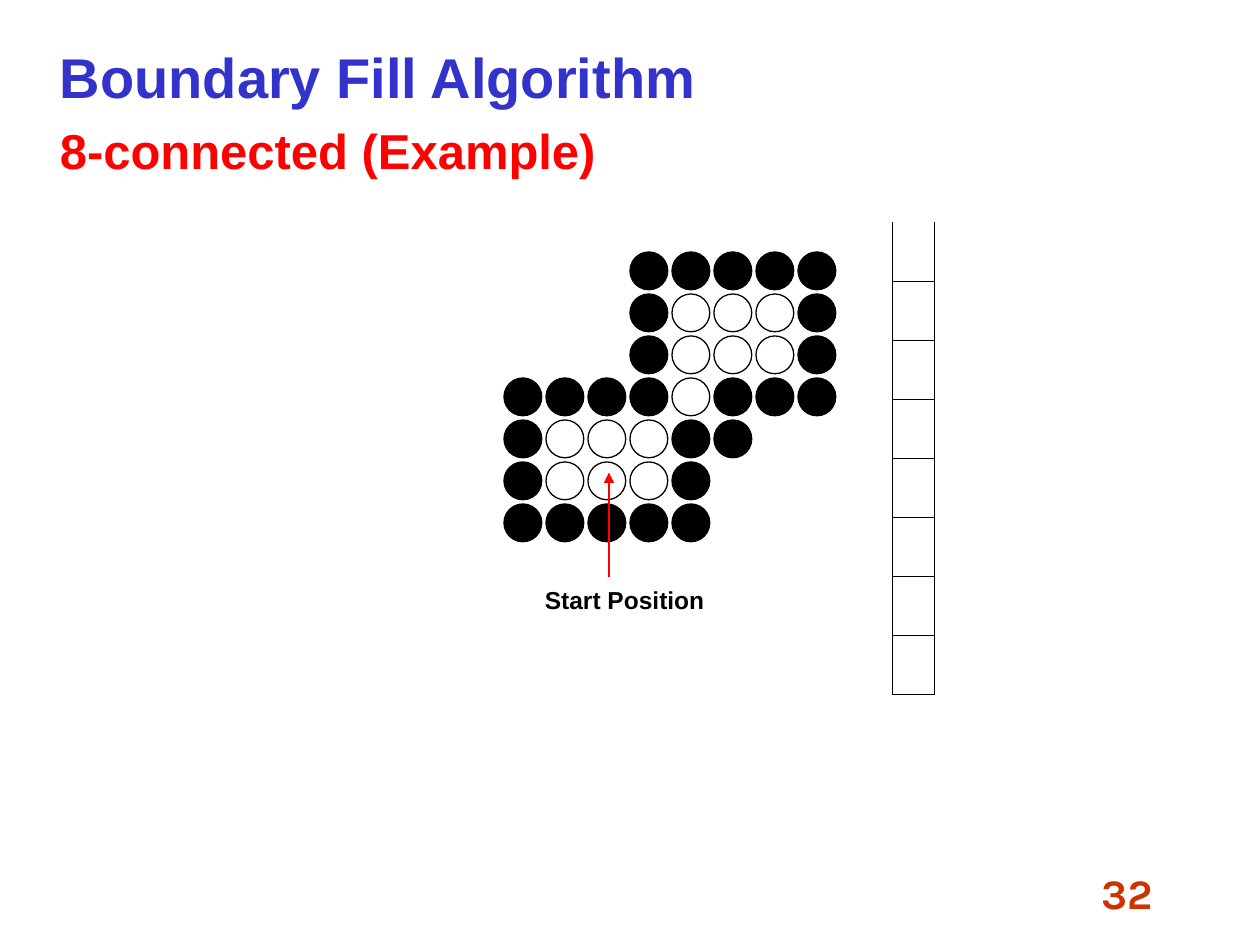
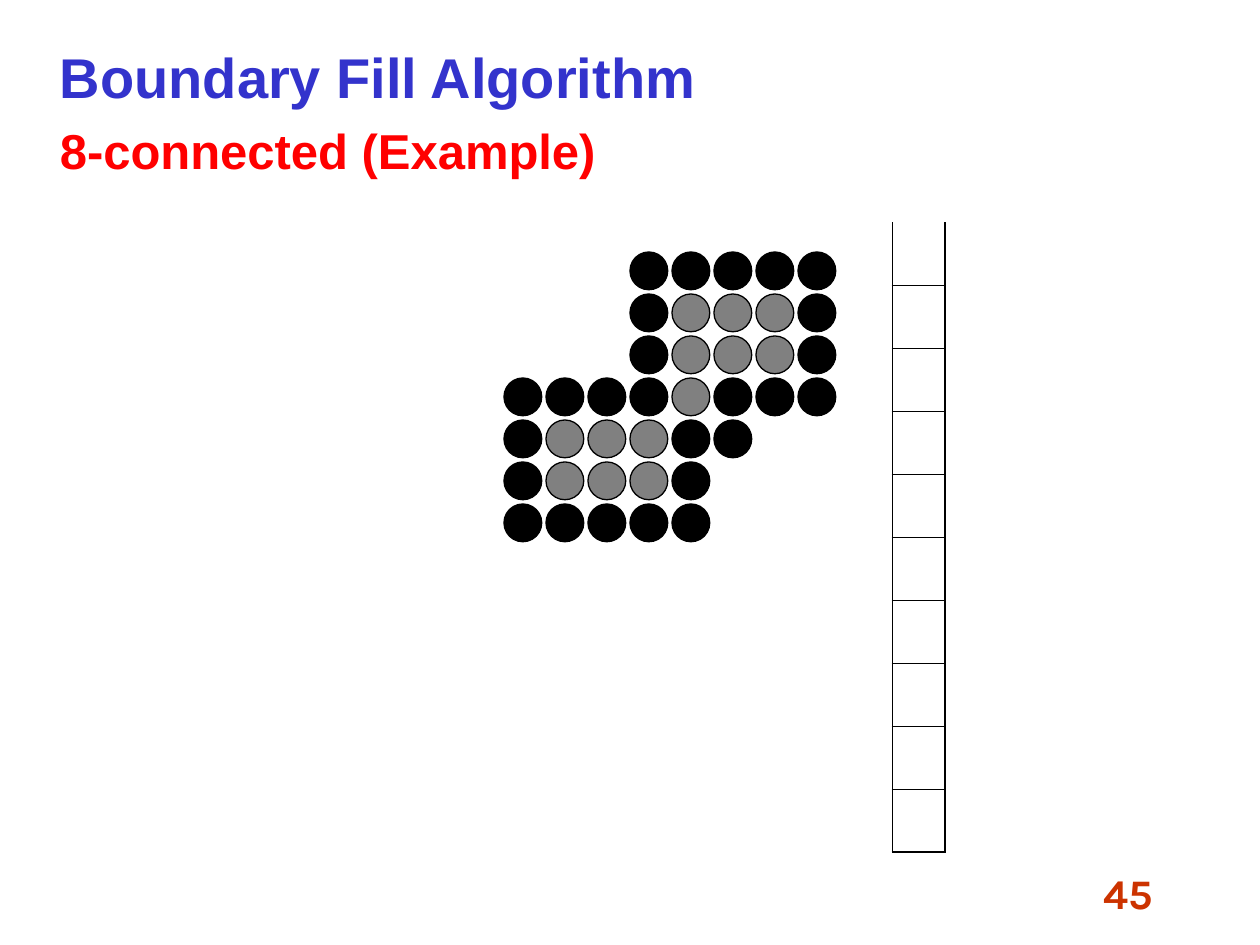
"""Build two slides showing an 8-connected boundary fill before and after it runs."""
from dataclasses import dataclass
from typing import Any

from lxml import etree
from pptx import Presentation
from pptx import util as u
from pptx.dml.color import RGBColor
from pptx.enum import shapes, text
from pptx.oxml import ns
from pptx.slide import Slide

BLACK, GRAY, BLUE, RED, RUST = "000000", "808080", "3333CC", "FF0000", "CC3300"
HEADING = {"name": "Arial", "size": u.Pt(32), "bold": True}
SUBHEADING = HEADING | {"size": u.Pt(28)}
LABEL = HEADING | {"size": u.Pt(14)}
NUMBER = {"name": "Karla", "size": u.Pt(24), "bold": True}

GRID_LEFT, GRID_TOP, PITCH, DIAMETER = 288, 144, 24, 21.6
BOUNDARY = "#"
REGION = (
    "   #####",
    "   #ooo#",
    "   #ooo#",
    "####o###",
    "#ooo##",
    "#ooo#",
    "#####",
)


@dataclass(frozen=True)
class Box:
    left: float
    top: float
    width: float
    height: float

    def lengths(self) -> tuple[u.Pt, ...]:
        return tuple(u.Pt(v) for v in (self.left, self.top, self.width, self.height))


@dataclass(frozen=True)
class Stack:
    rows: int
    width: float
    row_height: float


@dataclass(frozen=True)
class FillStep:
    number: str
    inside: str | None
    stack: Stack
    shows_start: bool


STEPS = (
    FillStep("32", None, Stack(8, 24, 33.75), True),
    FillStep("45", GRAY, Stack(10, 30, 36), False),
)


def colour(value: str) -> RGBColor:
    return RGBColor.from_string(value)


def apply(target: Any, values: dict[str, Any]) -> None:
    for name, value in values.items():
        setattr(target, name, value)


def write(paragraph: Any, words: str, font: dict[str, Any], ink: str, align: text.PP_ALIGN) -> None:
    run = paragraph.add_run()
    run.text = words
    apply(run.font, font)
    run.font.color.rgb = colour(ink)
    paragraph.alignment = align


def add_title(slide: Slide) -> None:
    title = slide.shapes.title
    left, top, width, height = Box(27, 18, 666, 84).lengths()
    apply(title, {"left": left, "top": top, "width": width, "height": height})
    frame = title.text_frame
    apply(frame, {"auto_size": text.MSO_AUTO_SIZE.NONE, "word_wrap": True,
                  "vertical_anchor": text.MSO_ANCHOR.TOP, "margin_top": u.Pt(6.5)})
    write(frame.paragraphs[0], "Boundary Fill Algorithm", HEADING, BLUE, text.PP_ALIGN.LEFT)
    subtitle = frame.add_paragraph()
    subtitle.space_before = u.Pt(6)
    write(subtitle, "8-connected (Example)", SUBHEADING, RED, text.PP_ALIGN.LEFT)


def add_text(parent: Any, box: Box, words: str, font: dict[str, Any], ink: str,
             align: text.PP_ALIGN) -> None:
    frame = parent.add_textbox(*box.lengths()).text_frame
    frame.word_wrap = True
    write(frame.paragraphs[0], words, font, ink, align)


def add_pixel(parent: Any, row: int, column: int, fill: str | None) -> None:
    box = Box(GRID_LEFT + column * PITCH, GRID_TOP + row * PITCH, DIAMETER, DIAMETER)
    pixel = parent.add_shape(shapes.MSO_SHAPE.OVAL, *box.lengths())
    pixel.shadow.inherit = False
    if fill:
        pixel.fill.solid()
        pixel.fill.fore_color.rgb = colour(fill)
    else:
        pixel.fill.background()
    pixel.line.color.rgb = colour(BLACK)
    pixel.line.width = u.Pt(0.75)


def add_region(parent: Any, inside: str | None) -> None:
    for row, line in enumerate(REGION):
        for column, mark in enumerate(line):
            if mark != " ":
                add_pixel(parent, row, column, BLACK if mark == BOUNDARY else inside)


def add_start(parent: Any) -> None:
    add_text(parent, Box(300, 330.5, 114, 24), "Start Position", LABEL, BLACK,
             text.PP_ALIGN.CENTER)
    arrow = parent.add_connector(shapes.MSO_CONNECTOR.STRAIGHT,
                                 u.Pt(348), u.Pt(330), u.Pt(348), u.Pt(270))
    arrow.line.color.rgb = colour(RED)
    arrow.line.width = u.Pt(0.75)
    etree.SubElement(arrow.line._get_or_add_ln(), ns.qn("a:tailEnd"), type="triangle")
    etree.SubElement(arrow._element.spPr, ns.qn("a:effectLst"))


def set_borders(cell: Any, widths: dict[str, float]) -> None:
    properties = cell._tc.get_or_add_tcPr()
    for index, (side, width) in enumerate(widths.items()):
        border = etree.Element(ns.qn(f"a:ln{side}"), w=str(u.Pt(width)))
        if width:
            fill = etree.SubElement(border, ns.qn("a:solidFill"))
            etree.SubElement(fill, ns.qn("a:srgbClr"), val=BLACK)
        else:
            etree.SubElement(border, ns.qn("a:noFill"))
        properties.insert(index, border)


def add_stack(slide: Slide, stack: Stack) -> None:
    box = Box(510, 127, stack.width, stack.rows * stack.row_height)
    table = slide.shapes.add_table(stack.rows, 1, *box.lengths()).table
    apply(table, {"first_row": False, "horz_banding": False})
    outer, inner = 1.08, 0.45
    for index, row in enumerate(table.rows):
        row.height = u.Pt(stack.row_height)
        cell = row.cells[0]
        cell.fill.background()
        set_borders(cell, {"L": outer, "R": outer, "T": inner if index else 0,
                           "B": outer if index == stack.rows - 1 else inner})


def add_step(presentation: Any, step: FillStep) -> None:
    slide = presentation.slides.add_slide(presentation.slide_layouts.get_by_name("Title Only"))
    add_title(slide)
    add_stack(slide, step.stack)
    diagram = slide.shapes.add_group_shape().shapes
    add_region(diagram, step.inside)
    if step.shows_start:
        add_start(diagram)
    add_text(slide.shapes, Box(516, 492, 150, 36), step.number, NUMBER, RUST,
             text.PP_ALIGN.RIGHT)


def main() -> None:
    presentation = Presentation()
    apply(presentation, {"slide_width": u.Pt(720), "slide_height": u.Pt(540)})
    for step in STEPS:
        add_step(presentation, step)
    presentation.save("out.pptx")


if __name__ == "__main__":
    main()
